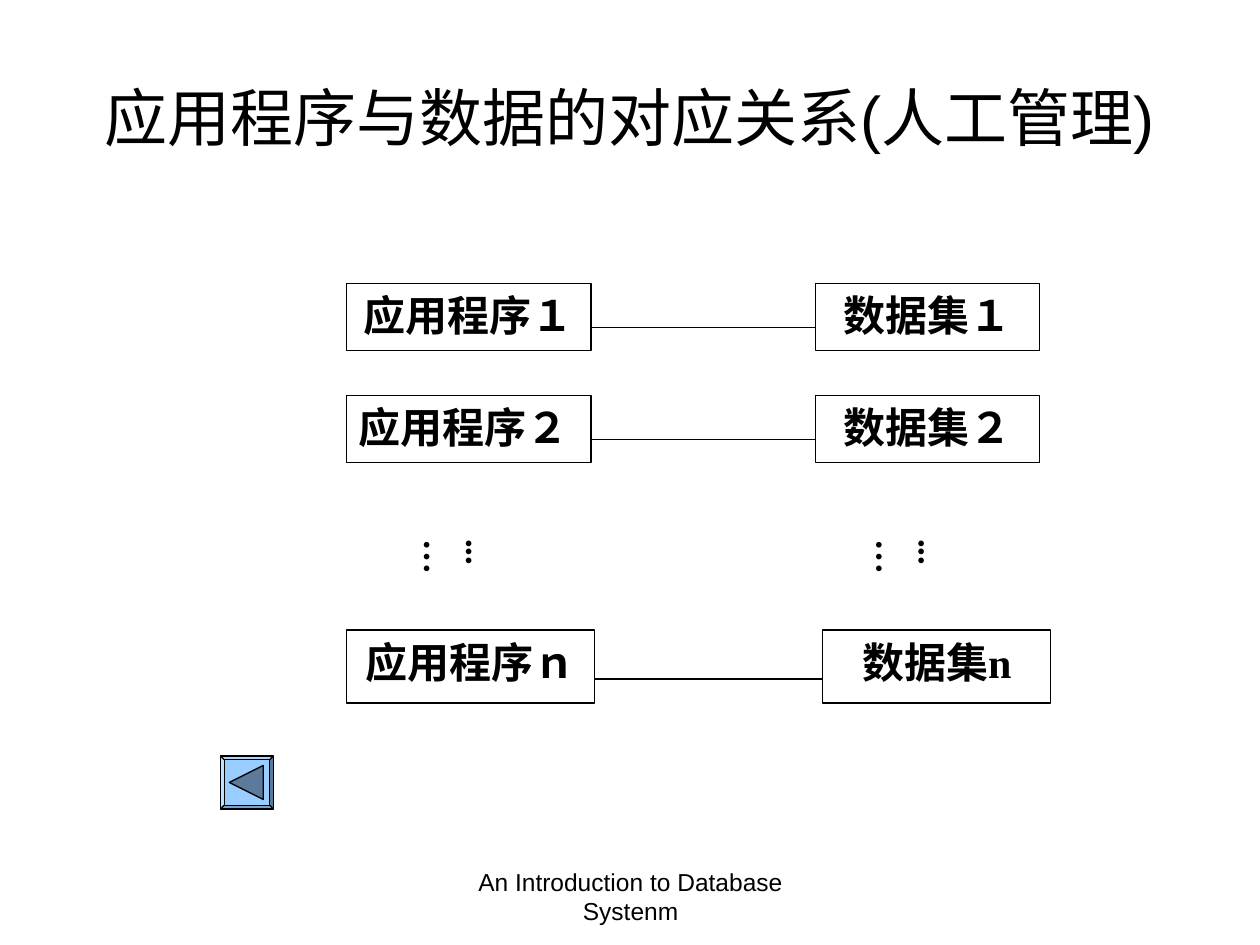
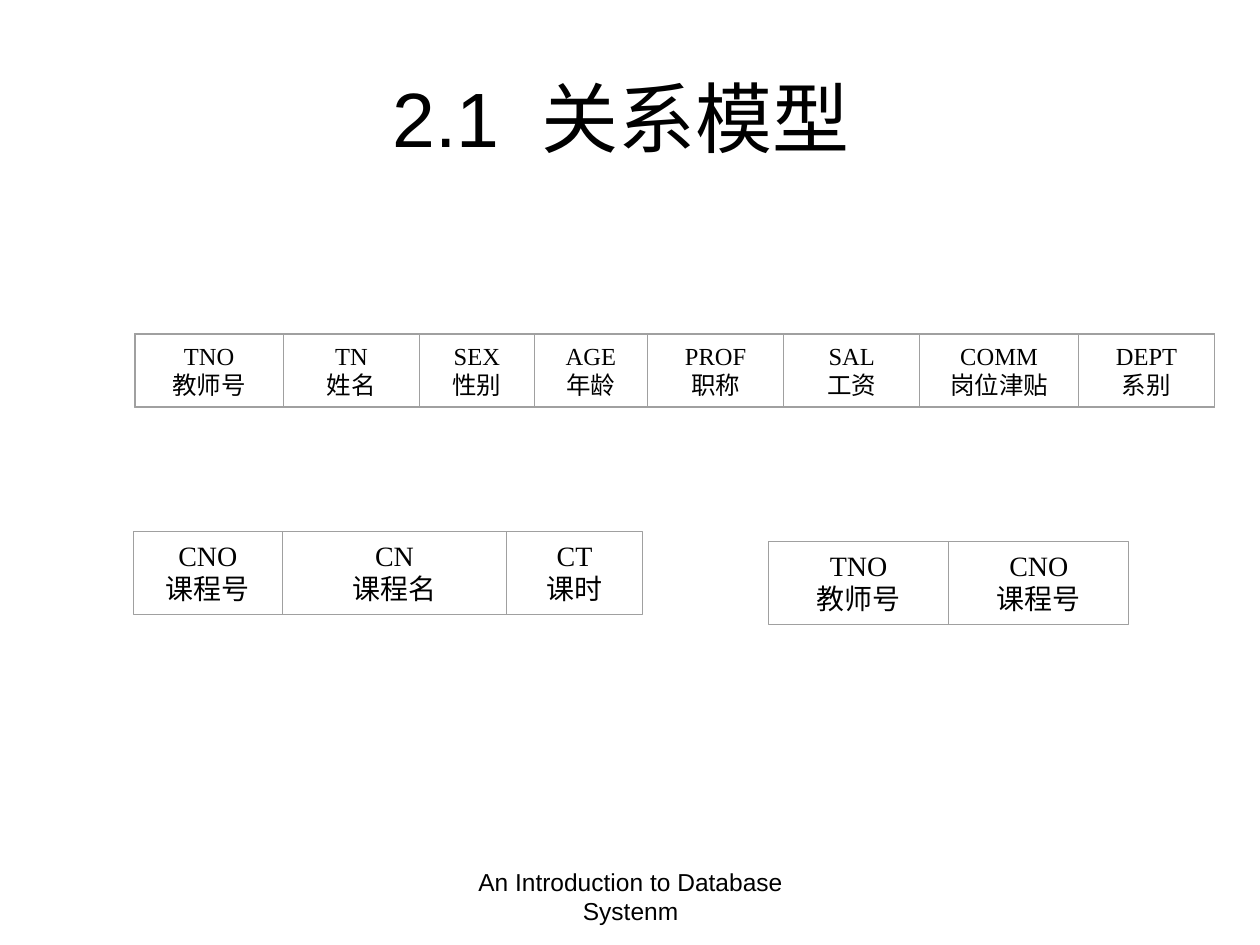
from lxml.etree import SubElement
from pptx import Presentation
from pptx.dml.color import RGBColor
from pptx.enum.shapes import MSO_CONNECTOR, MSO_SHAPE
from pptx.enum.text import MSO_ANCHOR, MSO_AUTO_SIZE, PP_ALIGN
from pptx.oxml.ns import qn
from pptx.util import Inches, Pt

COLORS = {
    "ink": "000000",
    "paper": "FFFFFF",
    "grid": "A0A0A0",
    "button": "99CCFF",
    "arrow": "5C7A99",
}
SANS, SERIF = "Arial", "Times New Roman"


def rgb(name):
    return RGBColor.from_string(COLORS[name])


def inches(*lengths):
    return [Inches(length) for length in lengths]


def add_run(paragraph, text, size, font=SERIF, bold=False):
    run = paragraph.add_run()
    run.text = text
    run.font.size = Pt(size)
    run.font.name = font
    run.font.bold = bold
    run.font.color.rgb = rgb("ink")
    return run


def add_text_box(slide, box, align=PP_ALIGN.CENTER):
    frame = slide.shapes.add_textbox(*inches(*box)).text_frame
    frame.word_wrap = True
    frame.paragraphs[0].alignment = align
    return frame


def style_shape(shape, fill):
    shape.shadow.inherit = False
    shape.fill.solid()
    shape.fill.fore_color.rgb = rgb(fill)
    shape.line.color.rgb = rgb("ink")
    shape.line.width = Pt(0.75)


# Shared title and footer
def add_title(slide, parts, size):
    """Each part is its text and its extra letter spacing in points."""
    frame = add_text_box(slide, (0.5, 0.3, 9, 1.25))
    frame.vertical_anchor = MSO_ANCHOR.MIDDLE
    for text, spacing in parts:
        run = add_run(frame.paragraphs[0], text, size, SANS)
        if spacing:
            run.font._element.set("spc", str(int(spacing * 100)))


def add_footer(slide):
    frame = add_text_box(slide, (3.42, 6.83, 3.17, 0.52))
    add_run(frame.paragraphs[0], "An Introduction to Database Systenm", 14, SANS)


# Program-to-data diagram
def add_node(slide, box, label, align):
    node = slide.shapes.add_shape(MSO_SHAPE.RECTANGLE, *inches(*box))
    style_shape(node, "paper")
    frame = node.text_frame
    frame.word_wrap = True
    frame.vertical_anchor = MSO_ANCHOR.TOP
    frame.paragraphs[0].alignment = align
    add_run(frame.paragraphs[0], label, 24, bold=True)


def add_pair(slide, box, program, data_set, program_width, data_width,
             link_drop, program_align=PP_ALIGN.CENTER):
    left, top, width, height = box
    data_left = left + width - data_width
    add_node(slide, (left, top, program_width, height), program, program_align)
    add_node(slide, (data_left, top, data_width, height), data_set, PP_ALIGN.CENTER)
    link = slide.shapes.add_connector(
        MSO_CONNECTOR.STRAIGHT,
        *inches(left + program_width, top + link_drop, data_left, top + link_drop))
    link.line.color.rgb = rgb("ink")
    link.line.width = Pt(0.75)
    SubElement(link._element.spPr, qn("a:effectLst"))


def add_vertical_dots(slide, box):
    frame = add_text_box(slide, box, PP_ALIGN.LEFT)
    frame.margin_left = frame.margin_right = Inches(0.05)
    frame.margin_top, frame.margin_bottom = inches(0.2, 0)
    frame.auto_size = MSO_AUTO_SIZE.SHAPE_TO_FIT_TEXT
    frame._txBody.bodyPr.set("vert", "eaVert")
    add_run(frame.paragraphs[0], "...…", 20, bold=True)


def add_diagram(slide, left, top):
    for row, (digit, align) in enumerate(
            [("１", PP_ALIGN.CENTER), ("２", PP_ALIGN.JUSTIFY)]):
        add_pair(slide, (left, top + row * 0.89, 5.5, 0.53),
                 "应用程序" + digit, "数据集" + digit, 1.94, 1.78, 0.35, align)
    for dots_left in (0.75, 4.34):
        add_vertical_dots(slide, (left + dots_left, top + 1.83, 0.53, 0.67))
    add_pair(slide, (left, top + 2.75, 5.59, 0.58),
             "应用程序ｎ", "数据集n", 1.97, 1.81, 0.39)


def add_back_button(slide, left, top, side):
    bevel = slide.shapes.add_shape(MSO_SHAPE.BEVEL, *inches(left, top, side, side))
    bevel.adjustments[0] = 0.07
    style_shape(bevel, "button")
    # Arrow pointing left, centred on the button
    middle = top + side / 2
    base, half = left + 0.34, 0.135
    outline = slide.shapes.build_freeform(*inches(left + 0.07, middle))
    outline.add_line_segments(
        [inches(base, middle - half), inches(base, middle + half)], close=True)
    style_shape(outline.convert_to_shape(), "arrow")


# Relation schemas
def add_frame(slide, box, weight):
    border = slide.shapes.add_shape(MSO_SHAPE.RECTANGLE, *inches(*box))
    border.shadow.inherit = False
    border.fill.background()
    border.line.color.rgb = rgb("grid")
    border.line.width = Pt(weight)


def add_field(slide, box, code, name, size, pitch):
    left, top, width, height = box
    inset = 0.1
    frame = add_text_box(slide, (left + inset, top, width - 2 * inset, height))
    frame.margin_top = Inches(0.06)
    for paragraph, text in ((frame.paragraphs[0], code),
                            (frame.add_paragraph(), name)):
        paragraph.alignment = PP_ALIGN.CENTER
        paragraph.line_spacing = Pt(pitch)
        add_run(paragraph, text, size)
    add_frame(slide, box, 0)


def add_schema(slide, left, top, height, fields, size, pitch, outline=0):
    """Each field is its code, its Chinese name and its width."""
    field_left = left
    for code, name, width in fields:
        add_field(slide, (field_left, top, width, height), code, name, size, pitch)
        field_left += width
    if outline:
        add_frame(slide, (left, top, field_left - left, height), outline)


def build_manual_management(slide):
    add_title(slide, [("应用程序与数据的对应关系(人工管理)", 0)], 36)
    add_diagram(slide, 2.75, 2.25)
    add_back_button(slide, 1.75, 6, 0.42)
    add_footer(slide)


def build_relational_model(slide):
    add_title(slide, [("2.1", 0), (" ", 12), ("关系模型 ", 0)], 44)
    teacher = [("TNO", "教师号", 1.18), ("TN", "姓名", 1.08), ("SEX", "性别", 0.91),
               ("AGE", "年龄", 0.9), ("PROF", "职称", 1.08), ("SAL", "工资", 1.08),
               ("COMM", "岗位津贴", 1.26), ("DEPT", "系别", 1.08)]
    course = [("CNO", "课程号", 1.18), ("CN", "课程名", 1.78), ("CT", "课时", 1.08)]
    teaching = [("TNO", "教师号", 1.43), ("CNO", "课程号", 1.43)]
    add_schema(slide, 1.07, 2.65, 0.58, teacher, 14, 16.6, outline=0.88)
    add_schema(slide, 1.06, 4.22, 0.66, course, 16, 18.9)
    add_schema(slide, 6.1, 4.3, 0.66, teaching, 16, 18.9)
    add_footer(slide)


def main():
    deck = Presentation()
    deck.slide_width, deck.slide_height = inches(10, 7.5)
    blank = deck.slide_layouts[6]
    for build in (build_manual_management, build_relational_model):
        build(deck.slides.add_slide(blank))
    deck.save("out.pptx")


if __name__ == "__main__":
    main()
